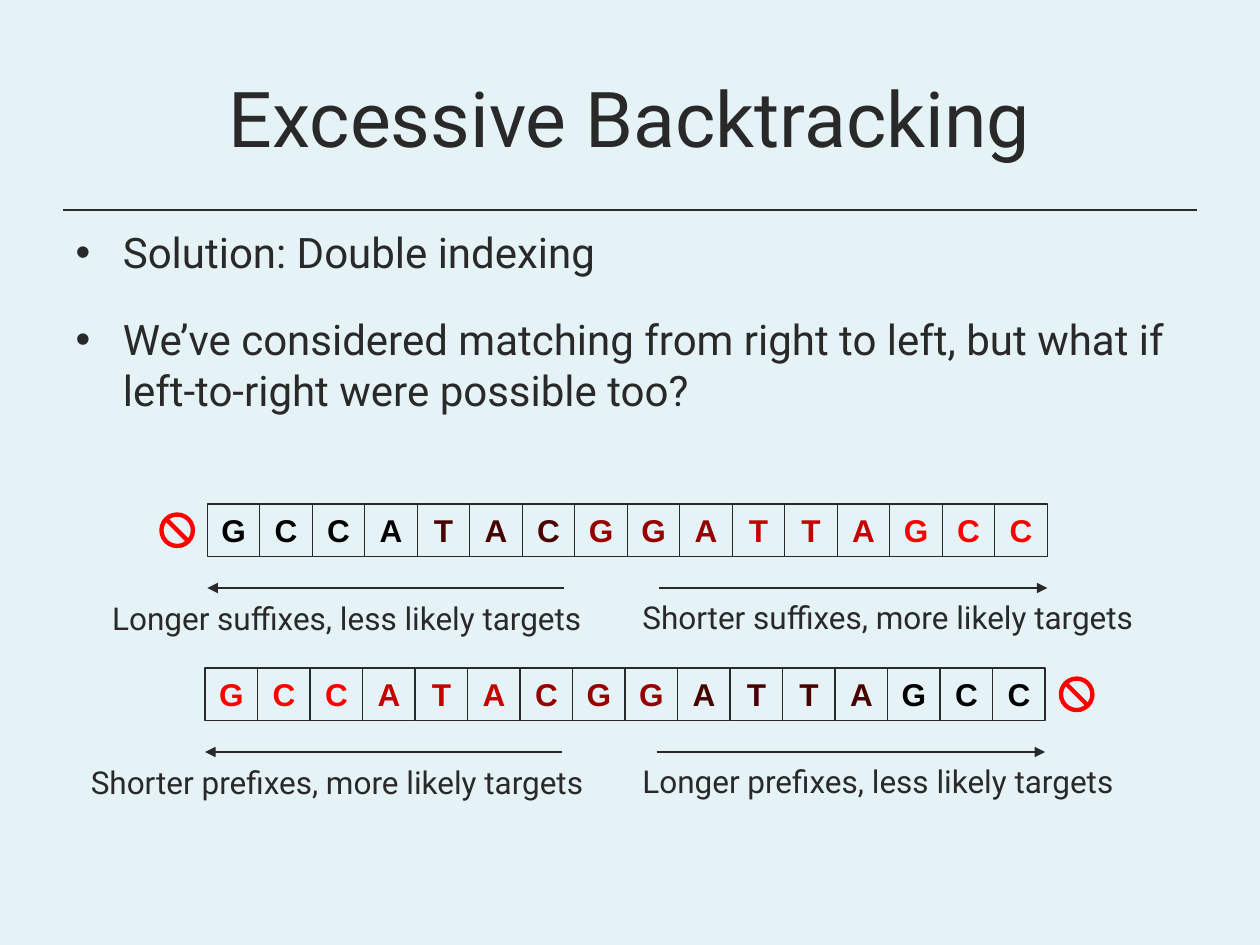
"""Build the slide on double indexing against excessive backtracking."""
from pptx import Presentation
from pptx.dml.color import RGBColor
from pptx.enum.shapes import MSO_CONNECTOR as Link, MSO_SHAPE as Shape
from pptx.enum.text import MSO_ANCHOR as Anchor, PP_ALIGN as Align
from pptx.oxml.ns import qn
from pptx.util import Pt
from lxml.etree import SubElement as Sub

SKY = RGBColor(0xE6, 0xF3, 0xF6)
INK = RGBColor(0x29, 0x29, 0x29)
BLACK = RGBColor(0x00, 0x00, 0x00)
DARK = RGBColor(0x48, 0x00, 0x00)
DEEP = RGBColor(0x96, 0x00, 0x00)
WARM = RGBColor(0xC4, 0x00, 0x00)
RED = RGBColor(0xFF, 0x00, 0x00)
CELL, RING = 30, 18
BASES = "GCCATACGGATTAGCC"


def style(para, size, color, name="Roboto", bold=False):
    for run in para.runs:
        font = run.font
        font.size, font.name, font.bold = Pt(size), name, bold
        font.color.rgb = color


def draw(x1, y1, x2, y2, color=INK, width=0.75, arrow=False):
    line = slide.shapes.add_connector(Link.STRAIGHT, Pt(x1), Pt(y1), Pt(x2), Pt(y2))
    line.line.color.rgb, line.line.width = color, Pt(width)
    if arrow:
        Sub(line.line._get_or_add_ln(), qn("a:tailEnd"), type="triangle")
    Sub(line._element.spPr, qn("a:effectLst"))


deck = Presentation()
deck.slide_width, deck.slide_height = Pt(720), Pt(540)
slide = deck.slides.add_slide(deck.slide_layouts[1])
back = slide.background.fill
back.solid()
back.fore_color.rgb = SKY
draw(36, 120, 684, 120)

title, body = slide.placeholders
title.left, title.top, title.width, title.height = Pt(36), Pt(21.6), Pt(648), Pt(90)
title.text_frame.text = "Excessive Backtracking"
title.text_frame.vertical_anchor = Anchor.MIDDLE
head = title.text_frame.paragraphs[0]
head.alignment = Align.CENTER
style(head, 44, INK)

body.left, body.top, body.width, body.height = Pt(36), Pt(126), Pt(648), Pt(356.4)
body.text_frame.text = (
    "Solution: Double indexing\n"
    "We’ve considered matching from right to left, but what if left-to-right were possible too?"
)
for para, gap in zip(body.text_frame.paragraphs, (0, 21)):
    props = para._p.get_or_add_pPr()
    props.set("marL", str(Pt(27)))
    props.set("indent", str(Pt(-27)))
    Sub(props, qn("a:buFont"), typeface="Arial")
    Sub(props, qn("a:buChar"), char="•")
    para.space_before = Pt(gap)
    style(para, 24, INK)

ROWS = [
    (118.5, 288, [BLACK] * 4 + [DARK] * 3 + [DEEP] * 3 + [WARM] * 3 + [RED] * 3, 92.25,
     [("Longer suffixes, less likely targets", 57, 51, 298),
      ("Shorter suffixes, more likely targets", 360, 50.4, 314.6)]),
    (117.25, 381.75, [RED] * 3 + [WARM] * 3 + [DEEP] * 3 + [DARK] * 4 + [BLACK] * 3, 606.25,
     [("Shorter prefixes, more likely targets", 44.8, 51, 317.5),
      ("Longer prefixes, less likely targets", 360, 50.4, 301)]),
]

for left, top, shades, ban, labels in ROWS:
    for i, (base, shade) in enumerate(zip(BASES, shades)):
        cell = slide.shapes.add_shape(
            Shape.RECTANGLE, Pt(left + i * CELL), Pt(top), Pt(CELL), Pt(CELL))
        cell.shadow.inherit = False
        cell.fill.background()
        cell.line.color.rgb, cell.line.width = INK, Pt(0.75)
        frame = cell.text_frame
        frame.text, frame.word_wrap = base, False
        frame.vertical_anchor = Anchor.MIDDLE
        frame.paragraphs[0].alignment = Align.CENTER
        style(frame.paragraphs[0], 18, shade, "Arial", True)

    level = top + 48
    draw(left + 204, level, left, level, arrow=True)
    draw(left + 258, level, left + len(BASES) * CELL, level, arrow=True)
    for words, x, drop, width in labels:
        box = slide.shapes.add_textbox(Pt(x), Pt(top + drop), Pt(width), Pt(28.8))
        box.text_frame.text, box.text_frame.word_wrap = words, False
        style(box.text_frame.paragraphs[0], 18, INK)

    high = top + 6
    ring = slide.shapes.add_shape(Shape.OVAL, Pt(ban), Pt(high), Pt(RING), Pt(RING))
    ring.shadow.inherit = False
    ring.fill.background()
    ring.line.color.rgb, ring.line.width = RED, Pt(2.5)
    near, far = RING * 0.15, RING * 0.85
    draw(ban + far, high + far, ban + near, high + near, RED, 2.5)

deck.save("out.pptx")
